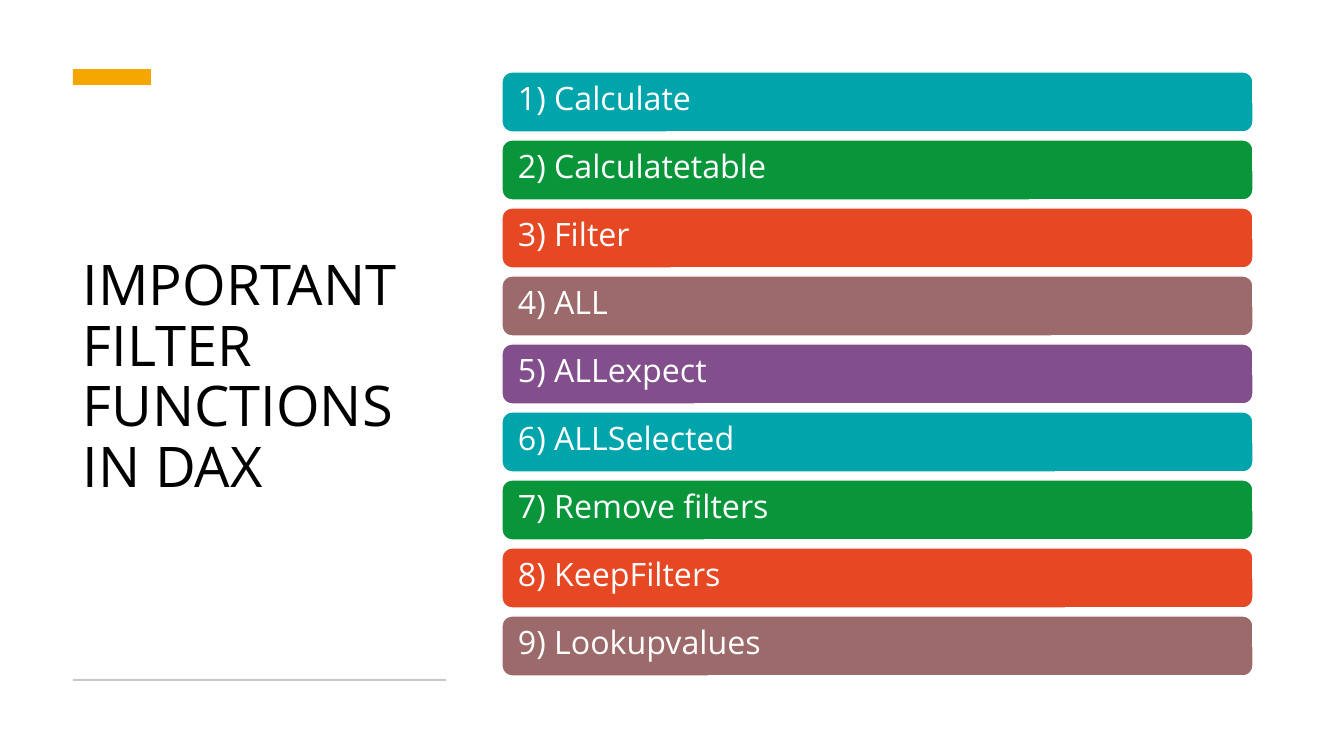
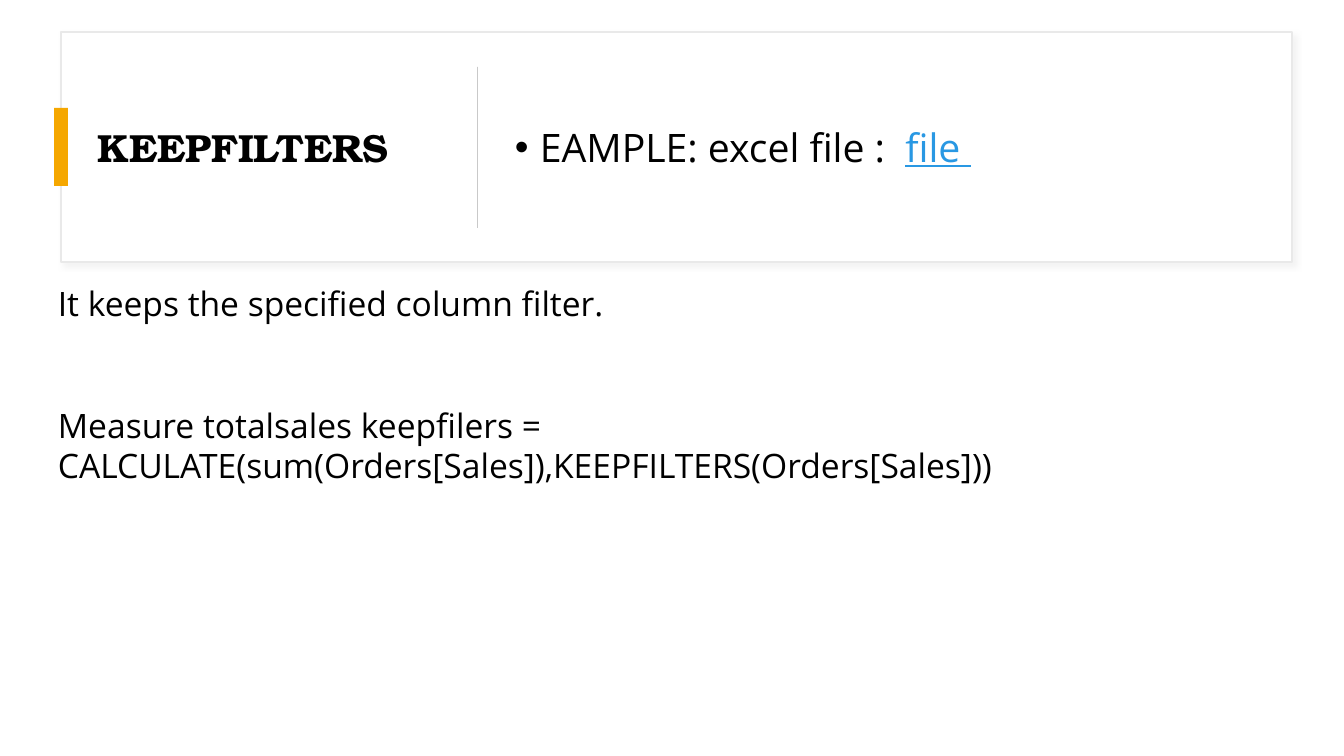
from itertools import cycle

from lxml.etree import SubElement
from pptx import Presentation
from pptx.dml.color import RGBColor
from pptx.enum.shapes import MSO_SHAPE as Shape
from pptx.enum.text import MSO_ANCHOR as Anchor, PP_ALIGN as Align
from pptx.oxml.ns import qn
from pptx.util import Emu, Pt

PIXEL = 914400 / 100.8
COLORS = {
    "white": "FFFFFF", "black": "000000", "accent": "F5A700",
    "rule": "C9C9C9", "border": "E9E9E9", "shadow": "D9D9D9", "link": "2998E3",
    "teal": "00A5AB", "green": "09963B", "orange": "E64823",
    "brown": "9C6A6A", "purple": "824F8C",
}
SANS, SERIF = "Open Sans", "TeX Gyre Bonum"


def px(length):
    """Turn pixels into EMU."""
    return Emu(round(length * PIXEL))


def rgb(name):
    """Look up a palette colour."""
    return RGBColor.from_string(COLORS[name])


def assign(target, values):
    """Set each attribute in a dict of format values."""
    for name, value in values.items():
        setattr(target, name, value)


class Deck:
    """Shared style, and the slide being built."""

    def __init__(self):
        """Open an empty widescreen deck."""
        self.show = Presentation()
        assign(self.show, {"slide_width": px(1344), "slide_height": px(756)})
        self.page = None

    def new_page(self):
        """Start a blank white slide."""
        self.page = self.show.slides.add_slide(self.show.slide_layouts[6])
        fill = self.page.background.fill
        fill.solid()
        fill.fore_color.rgb = rgb("white")

    def block(self, area, color, kind=Shape.RECTANGLE, line=None):
        """Draw a filled shape with an optional 1 pt outline."""
        shape = self.page.shapes.add_shape(kind, *map(px, area))
        shape.shadow.inherit = False
        shape.fill.solid()
        shape.fill.fore_color.rgb = rgb(color)
        if line:
            shape.line.color.rgb = rgb(line)
            shape.line.width = Pt(1)
        else:
            shape.line.fill.background()
        return shape

    def card(self, area):
        """Draw an outlined panel with a soft shadow."""
        shape = self.block(area, "white", line="border")
        effects = shape._element.spPr.find(qn("a:effectLst"))
        shadow = SubElement(effects, qn("a:outerShdw"), blurRad=str(Pt(4)),
                            dist=str(Pt(3)), dir=str(45 * 60000))
        color = SubElement(shadow, qn("a:srgbClr"), val=COLORS["shadow"])
        SubElement(color, qn("a:alpha"), val="30000")

    def add_span(self, para, text, size, color="black", font=SANS, **style):
        """Add a formatted run to a paragraph."""
        span = para.add_run()
        span.text = text
        assign(span.font, {"name": font, "size": Pt(size), **style})
        span.font.color.rgb = rgb(color)

    def text_box(self, area, anchor=Anchor.MIDDLE):
        """Add a wrapping text box and return its frame."""
        frame = self.page.shapes.add_textbox(*map(px, area)).text_frame
        assign(frame, {"word_wrap": True, "vertical_anchor": anchor})
        return frame

    def title(self, area, text, size, spacing=1.0, **style):
        """Add a slide title, centred vertically in its area."""
        para = self.text_box(area).paragraphs[0]
        para.line_spacing = spacing
        self.add_span(para, text, size, **style)

    def bar(self, area, text, color):
        """Draw a rounded list bar with a left-aligned label."""
        shape = self.block(area, color, Shape.ROUNDED_RECTANGLE, "white")
        frame = shape.text_frame
        assign(frame, {"word_wrap": True, "vertical_anchor": Anchor.MIDDLE,
                       "margin_left": px(13), "margin_right": px(13),
                       "margin_top": 0, "margin_bottom": px(3)})
        para = frame.paragraphs[0]
        assign(para, {"alignment": Align.LEFT, "line_spacing": 0.9})
        self.add_span(para, text, 23, "white")

    def bullet(self, area):
        """Add a bulleted paragraph and return it."""
        para = self.text_box(area).paragraphs[0]
        para.space_after = Pt(6)
        props = para._p.get_or_add_pPr()
        props.set("marL", str(px(25)))
        props.set("indent", str(-px(25)))
        SubElement(props, qn("a:buFont"), typeface="Arial")
        SubElement(props, qn("a:buChar"), char="•")
        return para

    def body(self, area, texts, gap):
        """Add paragraphs separated by a gap in points."""
        frame = self.text_box(area, Anchor.TOP)
        for index, text in enumerate(texts):
            para = frame.add_paragraph() if index else frame.paragraphs[0]
            para.space_before = Pt(gap if index else 0)
            self.add_span(para, text, 24)


def build_function_list(deck):
    """Build the list of filter functions."""
    names = ["Calculate", "Calculatetable", "Filter", "ALL", "ALLexpect",
             "ALLSelected", "Remove filters", "KeepFilters", "Lookupvalues"]
    colors = cycle(["teal", "green", "orange", "brown", "purple"])
    top, height, pitch = 72, 60, 68
    deck.new_page()
    deck.title((73, 106, 373, 545), "IMPORTANT FILTER FUNCTIONS IN DAX", 40, 0.9)
    deck.block((73, 69, 78, 16), "accent")
    deck.block((73, 679, 373, 2), "rule")
    for index, (name, color) in enumerate(zip(names, colors)):
        area = (502, top + index * pitch, 751, height)
        deck.bar(area, f"{index + 1}) {name}", color)


def build_keepfilters(deck):
    """Build the KEEPFILTERS explanation."""
    deck.new_page()
    deck.card((61, 32, 1231, 230))
    deck.title((88, 56, 433, 181), "KEEPFILTERS", 28, font=SERIF, bold=True)
    deck.block((54, 108, 14, 78), "accent")
    deck.block((477, 67, 1, 161), "rule")
    example = deck.bullet((505, 56, 756, 181))
    deck.add_span(example, "EAMPLE:\u00a0excel file :\u00a0\u00a0", 28)
    deck.add_span(example, "file\u00a0", 28, "link", underline=True)
    deck.body((48, 278, 1255, 214), [
        "It keeps the specified column filter.",
        "Measure totalsales keepfilers = "
        "CALCULATE(sum(Orders[Sales]),KEEPFILTERS(Orders[Sales]))",
    ], gap=58)


deck = Deck()
build_function_list(deck)
build_keepfilters(deck)
deck.show.save("out.pptx")
